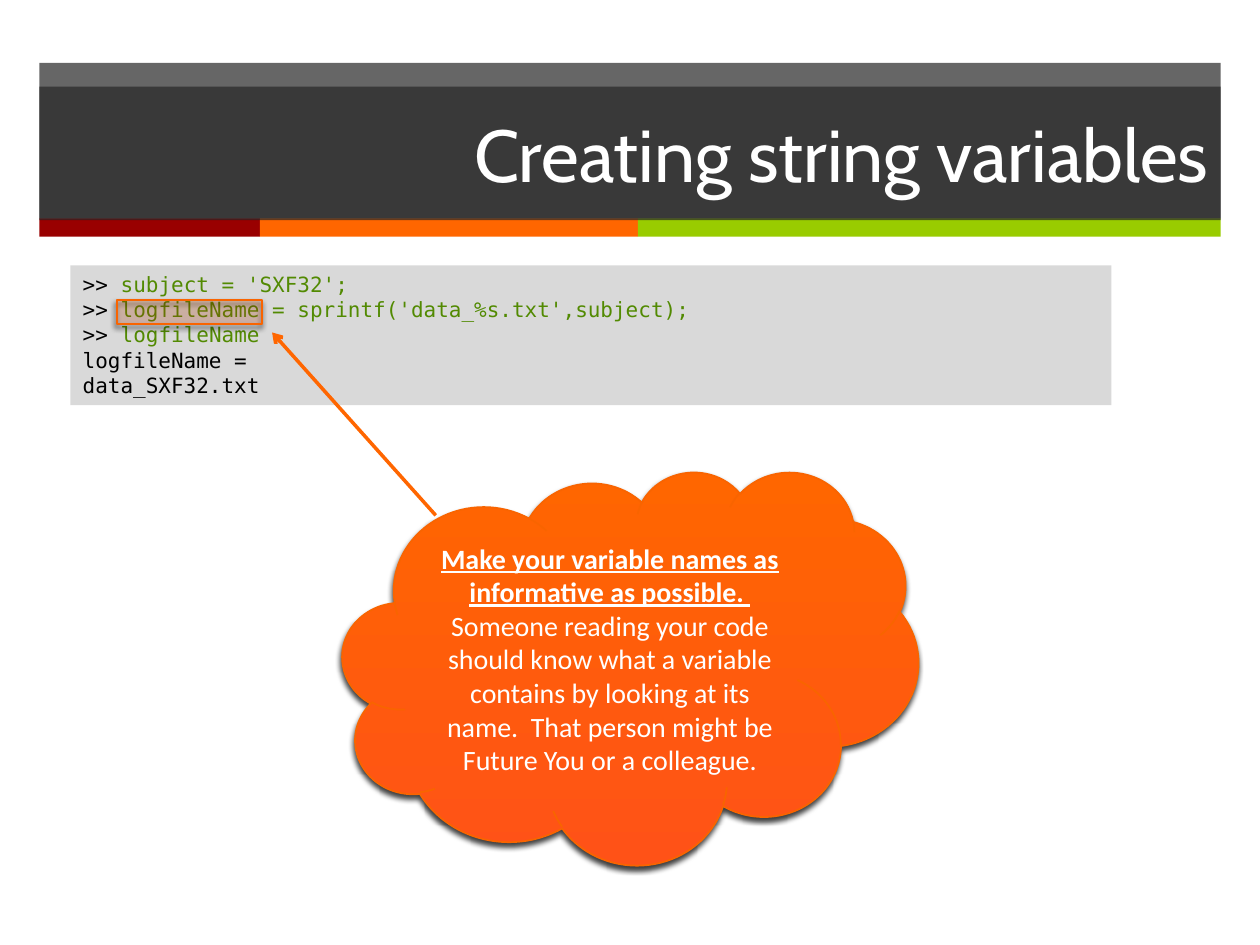
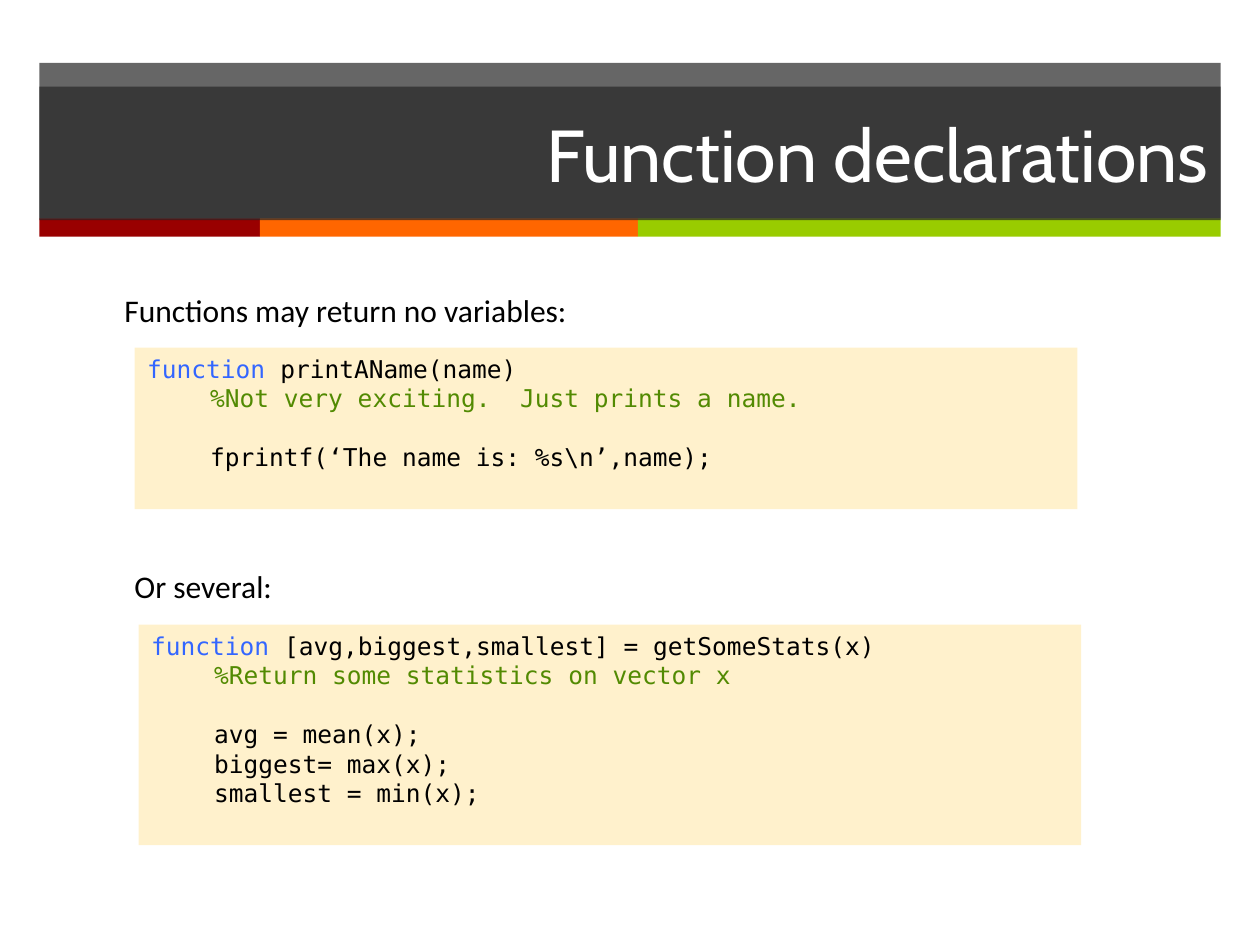
from dataclasses import dataclass

from lxml.etree import SubElement
from pptx import Presentation
from pptx.dml.color import RGBColor
from pptx.enum.shapes import MSO_CONNECTOR as Connector, MSO_SHAPE as Preset
from pptx.enum.text import MSO_ANCHOR as Anchor, PP_ALIGN as Align
from pptx.oxml.ns import qn
from pptx.util import Pt


# Theme: colours, fonts and type sizes
@dataclass(frozen=True)
class Theme:
    band: str = "262626"
    strips: tuple = (("990000", 126), ("FF6600", 216), ("99CC00", 333))
    white: str = "FFFFFF"
    black: str = "000000"
    console: str = "D9D9D9"
    listing: str = "FFF1CC"
    code_green: str = "528A02"
    keyword: str = "3366FF"
    accent: str = "FF6600"
    accent_low: str = "FF5217"
    accent_line: str = "F96400"
    title_font: str = "Cabin"
    text_font: str = "Calibri"
    code_font: str = "DejaVu Sans Mono"
    title_size: int = 42
    label_size: int = 18
    callout_size: int = 16
    console_size: int = 12
    listing_size: int = 14


THEME = Theme()
LEFT, WIDTH = 22.5, 675


@dataclass
class Line:
    """One paragraph: (text, colour) runs, left indent and space before."""
    runs: list
    indent: float = 0
    gap: float = 0


def rgb(value):
    return RGBColor.from_string(value)


def points(*values):
    return [Pt(value) for value in values]


def set_values(target, values):
    for name, value in values.items():
        setattr(target, name, value)


def add_run(paragraph, text, color, **values):
    run = paragraph.add_run()
    run.text = text
    run.font.color.rgb = rgb(color)
    set_values(run.font, values)


def fill_solid(shape, color):
    shape.fill.solid()
    shape.fill.fore_color.rgb = rgb(color)


def set_alpha(shape, percent):
    for color in shape.element.spPr.iter(qn("a:srgbClr")):
        SubElement(color, qn("a:alpha"), val=str(percent * 1000))


# Shared parts
def add_bar(slide, box, color):
    bar = slide.shapes.add_shape(Preset.RECTANGLE, *points(*box))
    bar.shadow.inherit = False
    fill_solid(bar, color)
    bar.line.fill.background()
    return bar


def move_bands_to_layout(slide):
    """Draw the header bands once and hand them to the slide's layout."""
    top_band = add_bar(slide, (LEFT, 36, WIDTH, 89), THEME.band)
    set_alpha(top_band, 70)
    bands, left = [top_band], LEFT
    for color, width in THEME.strips:
        bands.append(add_bar(slide, (left, 124.8, width, 10.4), color))
        left += width
    tree = slide.slide_layout.shapes.element if hasattr(
        slide.slide_layout.shapes, "element") else slide.slide_layout.element.cSld.spTree
    for band in bands:
        tree.append(band.element)


def set_title(slide, text):
    title = slide.shapes.title
    left, top, width, height = points(LEFT, 49.5, WIDTH, 76.25)
    set_values(title, dict(left=left, top=top, width=width, height=height))
    fill_solid(title, THEME.band)
    set_alpha(title, 70)
    title.text_frame.vertical_anchor = Anchor.MIDDLE
    paragraph = title.text_frame.paragraphs[0]
    paragraph.alignment = Align.RIGHT
    add_run(paragraph, text, THEME.white, name=THEME.title_font, size=Pt(THEME.title_size))


# Text elements
def add_text(slide, box, lines, font, size, background=None):
    text_box = slide.shapes.add_textbox(*points(*box))
    if background:
        fill_solid(text_box, background)
    frame = text_box.text_frame
    frame.word_wrap = True
    for index, line in enumerate(lines):
        paragraph = frame.add_paragraph() if index else frame.paragraphs[0]
        paragraph.space_before = Pt(line.gap)
        for text, color in line.runs:
            add_run(paragraph, text, color, name=font, size=Pt(size))
        if line.indent:
            properties = paragraph._p.get_or_add_pPr()
            properties.set("marL", str(Pt(line.indent)))


def add_label(slide, left, top, text):
    add_text(slide, (left, top, 297.4, 28.8), [Line([(text, THEME.black)])],
             THEME.text_font, THEME.label_size)


def add_console(slide, box, commands, output):
    lines = [Line([(">> ", THEME.black), (command, THEME.code_green)])
             for command in commands]
    lines += [Line([(text, THEME.black)]) for text in output]
    add_text(slide, box, lines, THEME.code_font, THEME.console_size, THEME.console)


def add_function(slide, box, signature, comment, body):
    lines = [Line([("function ", THEME.keyword), (signature, THEME.black)]),
             Line([(comment, THEME.code_green)], indent=36)]
    lines += [Line([(statement, THEME.black)], indent=36, gap=0 if index else 16.8)
              for index, statement in enumerate(body)]
    add_text(slide, box, lines, THEME.code_font, THEME.listing_size, THEME.listing)


# Callout elements
def add_glow_shape(slide, preset, box, alpha=None):
    """An orange gradient shape with a thin outline and a soft shadow."""
    shape = slide.shapes.add_shape(preset, *points(*box))
    shape.fill.gradient()
    shape.fill.gradient_angle = 90
    for stop, color, position in zip(shape.fill.gradient_stops,
                                     (THEME.accent_low, THEME.accent), (0, 1)):
        stop.color.rgb = rgb(color)
        stop.position = position
    if alpha:
        set_alpha(shape, alpha)
    shape.line.color.rgb = rgb(THEME.accent_line)
    shape.line.width = Pt(1)
    shape.shadow.inherit = False
    effects = shape.element.spPr.find(qn("a:effectLst"))
    shadow = SubElement(effects, qn("a:outerShdw"), blurRad=str(Pt(3)), dist=str(Pt(2)),
                        dir=str(110 * 60000), rotWithShape="0")
    color = SubElement(shadow, qn("a:srgbClr"), val=THEME.black)
    SubElement(color, qn("a:alpha"), val="75000")
    return shape


def add_arrow(slide, start, end):
    arrow = slide.shapes.add_connector(Connector.STRAIGHT, *points(*start, *end))
    arrow.line.color.rgb = rgb(THEME.accent)
    arrow.line.width = Pt(2)
    SubElement(arrow.line._get_or_add_ln(), qn("a:tailEnd"), type="arrow")
    SubElement(arrow.element.spPr, qn("a:effectLst"))


def add_cloud(slide, box, heading, advice):
    cloud = add_glow_shape(slide, Preset.CLOUD, box)
    cloud.text_frame.word_wrap = True
    cloud.text_frame.vertical_anchor = Anchor.MIDDLE
    paragraph = cloud.text_frame.paragraphs[0]
    paragraph.alignment = Align.CENTER
    base = dict(name=THEME.text_font, size=Pt(THEME.callout_size))
    add_run(paragraph, heading, THEME.white, bold=True, underline=True, **base)
    add_run(paragraph, advice, THEME.white, **base)


# Slides
def build_strings_slide(slide):
    set_title(slide, "Creating string variables")
    add_console(slide, (40.2, 151.6, 594.9, 79.9),
                ["subject = 'SXF32';",
                 "logfileName = sprintf('data_%s.txt',subject);",
                 "logfileName"],
                ["logfileName =", "data_SXF32.txt"])
    add_glow_shape(slide, Preset.RECTANGLE, (67, 171.4, 82.8, 13.7), alpha=16)
    add_arrow(slide, (249, 294.5), (155.5, 190))
    add_cloud(slide, (195.8, 269.3, 329, 224.6),
              "Make your variable names as informative as possible.  ",
              "Someone reading your code should know what a variable contains by looking "
              "at its name.  That person might be Future You or a colleague.")


def build_functions_slide(slide):
    set_title(slide, "Function declarations")
    add_function(slide, (77, 198.7, 538.6, 92.2), "printAName(name)",
                 "%Not very exciting.  Just prints a name.",
                 ["fprintf(‘The name is: %s\\n’,name);"])
    add_label(slide, 64, 162.7, "Functions may return no variables:")
    add_label(slide, 69.8, 320.4, "Or several:")
    add_function(slide, (79.2, 357, 538.6, 126), "[avg,biggest,smallest] = getSomeStats(x)",
                 "%Return some statistics on vector x",
                 ["avg = mean(x);", "biggest= max(x);", "smallest = min(x);"])


def main():
    presentation = Presentation()
    presentation.slide_width, presentation.slide_height = points(720, 540)
    title_only = presentation.slide_layouts[5]
    slides = [presentation.slides.add_slide(title_only) for _ in range(2)]
    move_bands_to_layout(slides[0])
    build_strings_slide(slides[0])
    build_functions_slide(slides[1])
    presentation.save("out.pptx")


if __name__ == "__main__":
    main()
